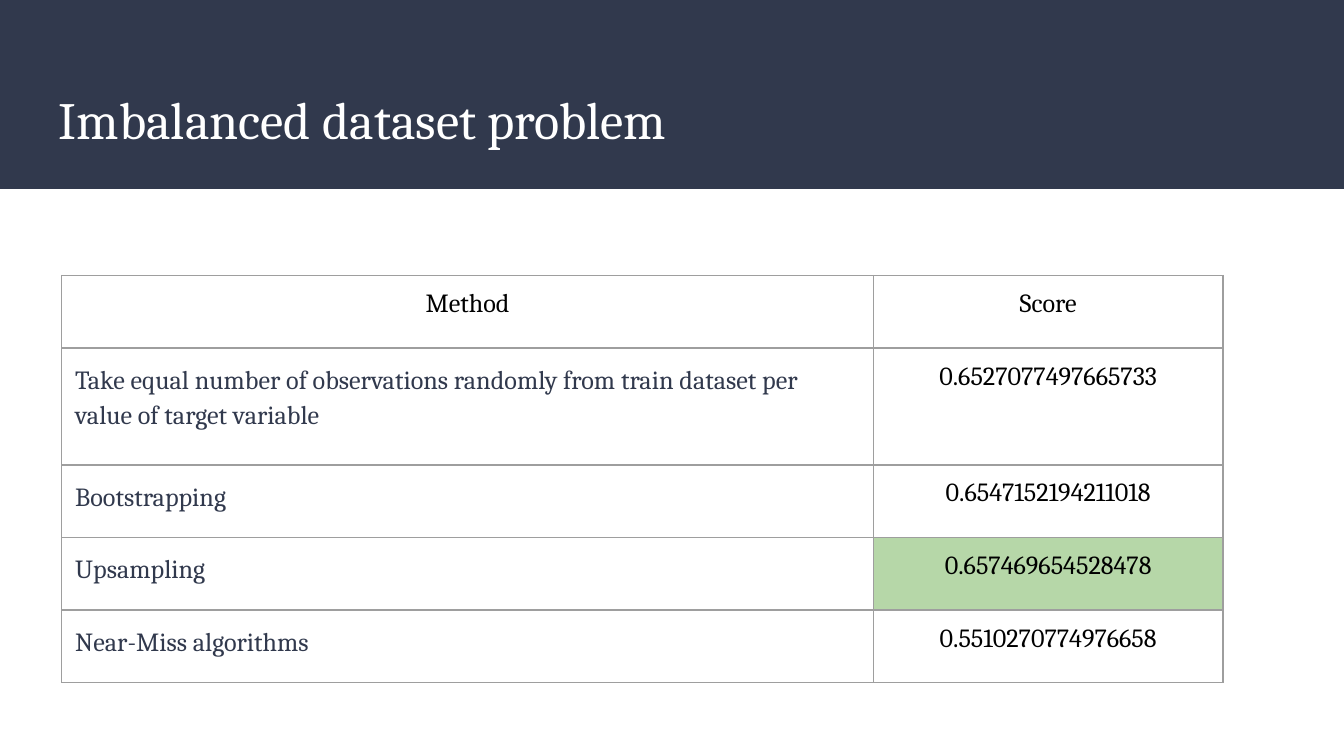
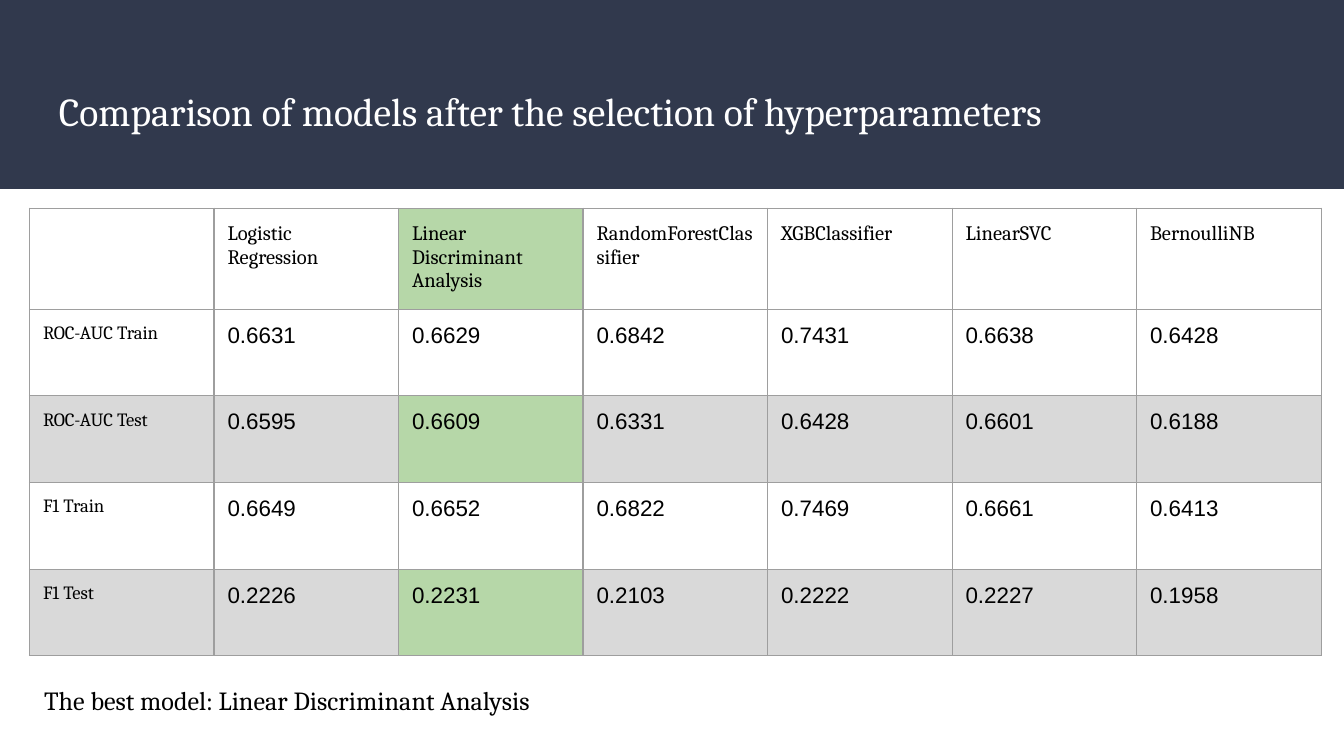
import pptx
import pptx.util
import pptx.dml.color
import pptx.enum.shapes
import pptx.enum.text
import lxml.etree

Inches, Pt = pptx.util.Inches, pptx.util.Pt
CENTER = pptx.enum.text.PP_ALIGN.CENTER

THEME = {
    "navy": "31394D", "white": "FFFFFF", "black": "000000",
    "border": "9E9E9E", "best": "B6D7A8", "stripe": "D9D9D9",
    "serif": "Cambria", "sans": "Arial",
    "title": 28, "long_title": 21.2, "body": 14,
    "value": 12, "head": 11, "label": 10,
}
WIDTH = 10
HEIGHT = WIDTH * 9 / 16
BAND_HEIGHT = HEIGHT / 4
MARGIN, BORDER_WIDTH = 0.1, 0.75

METHODS = [
    ("Method", "Score"),
    ("Take equal number of observations randomly from train dataset per value of target variable",
     "0.6527077497665733"),
    ("Bootstrapping", "0.6547152194211018"),
    ("Upsampling", "0.657469654528478"),
    ("Near-Miss algorithms", "0.5510270774976658"),
]
BEST_METHOD = "Upsampling"

MODELS = [
    ("", "Logistic\nRegression", "Linear\nDiscriminant\nAnalysis", "RandomForestClassifier",
     "XGBClassifier", "LinearSVC", "BernoulliNB"),
    ("ROC-AUC Train", "0.6631", "0.6629", "0.6842", "0.7431", "0.6638", "0.6428"),
    ("ROC-AUC Test", "0.6595", "0.6609", "0.6331", "0.6428", "0.6601", "0.6188"),
    ("F1 Train", "0.6649", "0.6652", "0.6822", "0.7469", "0.6661", "0.6413"),
    ("F1 Test", "0.2226", "0.2231", "0.2103", "0.2222", "0.2227", "0.1958"),
]
BEST_MODEL_COLUMN = 2
MODELS_WIDTH, SCORES_HEIGHT = 9.61, 2.58


def rgb(name):
    return pptx.dml.color.RGBColor.from_string(THEME[name])


def write(tf, text, size="body", font="serif", color="black", align=None, line=None, after=None):
    tf.word_wrap = True
    tf.margin_left = tf.margin_right = tf.margin_top = tf.margin_bottom = Inches(MARGIN)
    for i, part in enumerate(text.split("\n")):
        p = tf.paragraphs[0] if i == 0 else tf.add_paragraph()
        p.alignment = align
        p.line_spacing = line
        p.space_after = None if after is None else Pt(after)
        if part:
            r = p.add_run()
            r.text = part
            r.font.size = Pt(THEME[size])
            r.font.name = THEME[font]
            r.font.color.rgb = rgb(color)


def add_text(s, text, box, **style):
    sp = s.shapes.add_textbox(*map(Inches, box))
    write(sp.text_frame, text, **style)


def add_slide(prs, title, size="title"):
    s = prs.slides.add_slide(prs.slide_layouts[6])
    band = s.shapes.add_shape(pptx.enum.shapes.MSO_SHAPE.RECTANGLE,
                              0, 0, prs.slide_width, Inches(BAND_HEIGHT))
    band.shadow.inherit = False
    band.fill.solid()
    band.fill.fore_color.rgb = rgb("navy")
    band.line.fill.background()
    add_text(s, title, (0.34, 0.55, 9.32, 0.68), size=size, color="white")
    return s


def add_borders(cell):
    tc_pr = cell._tc.get_or_add_tcPr()
    for side in "LRTB":
        ln = lxml.etree.SubElement(tc_pr, pptx.oxml.ns.qn("a:ln" + side), w=str(Pt(BORDER_WIDTH)))
        fill = lxml.etree.SubElement(ln, pptx.oxml.ns.qn("a:solidFill"))
        lxml.etree.SubElement(fill, pptx.oxml.ns.qn("a:srgbClr"), val=THEME["border"])


def add_table(s, rows, left, top, widths, heights, style_of, fill_of):
    box = map(Inches, (left, top, sum(widths), sum(heights)))
    table = s.shapes.add_table(len(rows), len(widths), *box).table
    table.first_row = table.horz_banding = False
    for column, width in zip(table.columns, widths):
        column.width = Inches(width)
    for i, (row, height) in enumerate(zip(rows, heights)):
        table.rows[i].height = Inches(height)
        for j, text in enumerate(row):
            cell = table.cell(i, j)
            cell.margin_left = cell.margin_right = Inches(MARGIN)
            cell.margin_top = cell.margin_bottom = Inches(MARGIN)
            write(cell.text_frame, text, **style_of(i, j))
            add_borders(cell)
            fill = fill_of(i, j)
            if fill:
                cell.fill.solid()
                cell.fill.fore_color.rgb = rgb(fill)
            else:
                cell.fill.background()


def method_style(i, j):
    if i and j == 0:
        return {"color": "navy", "line": 1.15, "after": 12}
    return {"align": CENTER}


def method_fill(i, j):
    return "best" if j == 1 and METHODS[i][0] == BEST_METHOD else None


def model_style(i, j):
    if i == 0:
        return {"size": "head"}
    return {"size": "label"} if j == 0 else {"size": "value", "font": "sans"}


def model_fill(i, j):
    if i % 2:
        return None
    if j == BEST_MODEL_COLUMN:
        return "best"
    return "stripe" if i else None


def main():
    prs = pptx.Presentation()
    prs.slide_width, prs.slide_height = Inches(WIDTH), Inches(HEIGHT)

    s = add_slide(prs, "Imbalanced dataset problem")
    add_table(s, METHODS, 0.46, 2.05, [6.04, 2.6], [0.54, 0.87] + [0.54] * 3,
              method_style, method_fill)

    s = add_slide(prs, "Comparison of models after the selection of hyperparameters", "long_title")
    columns, scores = len(MODELS[0]), len(MODELS) - 1
    add_table(s, MODELS, 0.22, 1.55, [MODELS_WIDTH / columns] * columns,
              [0.57] + [SCORES_HEIGHT / scores] * scores, model_style, model_fill)
    add_text(s, "The best model: Linear Discriminant Analysis", (0.23, 4.99, 9.61, 0.44))

    prs.save("out.pptx")


if __name__ == "__main__":
    main()
